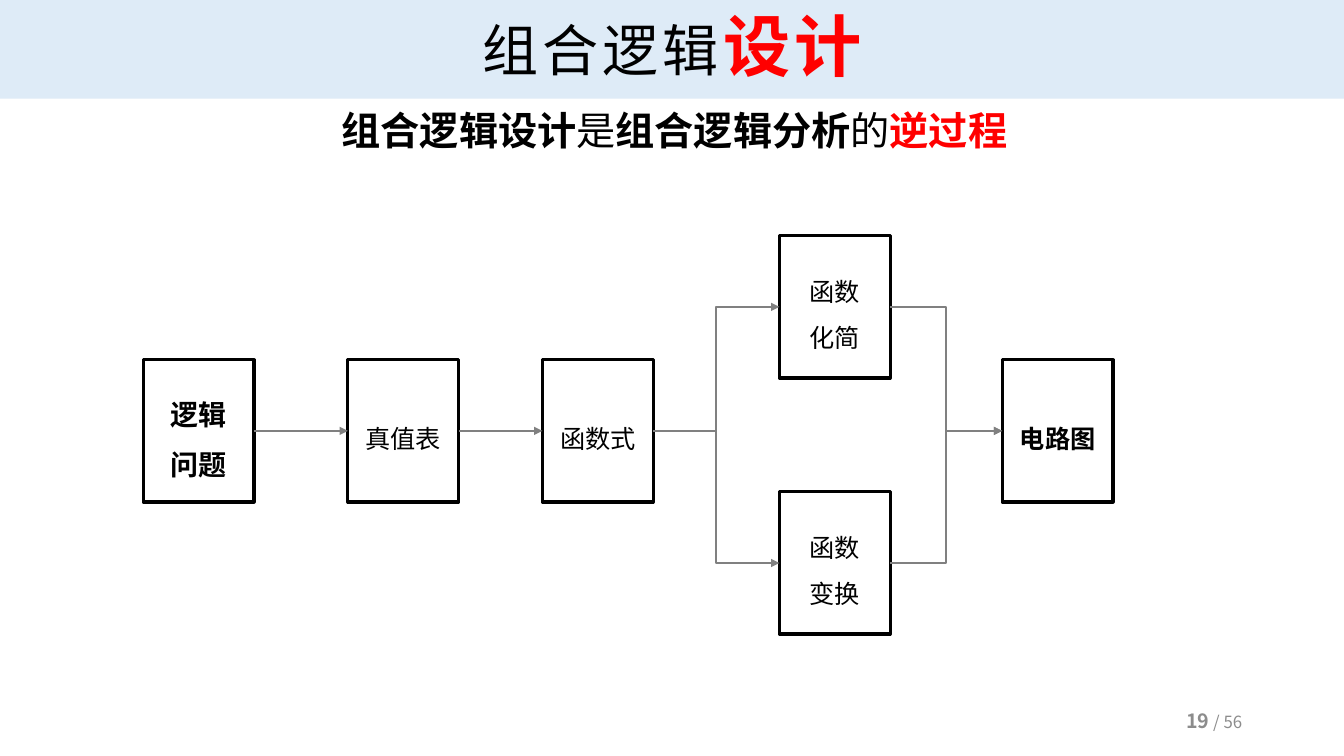
from dataclasses import dataclass

from lxml import etree
from pptx import Presentation
from pptx.dml.color import RGBColor
from pptx.enum.shapes import MSO_CONNECTOR, MSO_SHAPE
from pptx.enum.text import MSO_ANCHOR, MSO_AUTO_SIZE, PP_ALIGN
from pptx.oxml.ns import qn
from pptx.util import Inches, Pt

RECT = MSO_SHAPE.RECTANGLE
ELBOW, STRAIGHT = MSO_CONNECTOR.ELBOW, MSO_CONNECTOR.STRAIGHT
MIDDLE, TOP = MSO_ANCHOR.MIDDLE, MSO_ANCHOR.TOP
LEFT, CENTER, RIGHT = PP_ALIGN.LEFT, PP_ALIGN.CENTER, PP_ALIGN.RIGHT
LEFT_SITE, RIGHT_SITE = 1, 3


@dataclass(frozen=True)
class Theme:
    font: str = "Noto Sans CJK SC"
    ink: str = "000000"
    paper: str = "FFFFFF"
    band: str = "DEEBF7"
    accent: str = "FF0000"
    wire: str = "808080"
    faint: str = "8C8C8C"
    title: int = 40
    stress: int = 48
    lead: int = 28
    start: int = 20
    step: int = 18
    page: int = 14
    total: int = 12


T = Theme()

# Runs: text, size, colour, bold
TITLE = [("组合逻辑", T.title, T.ink, False), ("设计", T.stress, T.accent, True)]
LEAD = [
    ("组合逻辑设计", T.lead, T.ink, True),
    ("是", T.lead, T.ink, False),
    ("组合逻辑分析", T.lead, T.ink, True),
    ("的", T.lead, T.ink, False),
    ("逆过程", T.lead, T.accent, True),
]
PAGE = [("19", T.page, T.faint, True), (" / 56", T.total, T.faint, False)]

# Steps: column, row, lines, size, bold
STEPS = {
    "problem": (0, 1, ["逻辑", "问题"], T.start, True),
    "table": (1, 1, ["真值表"], T.step, False),
    "formula": (2, 1, ["函数式"], T.step, False),
    "convert": (3, 2, ["函数", "变换"], T.step, False),
    "reduce": (3, 0, ["函数", "化简"], T.step, False),
    "circuit": (4, 1, ["电路图"], T.step, True),
}
LINKS = [
    ("formula", "reduce"),
    ("formula", "convert"),
    ("reduce", "circuit"),
    ("convert", "circuit"),
    ("table", "formula"),
    ("problem", "table"),
]

# Grid, in inches
WIDE, HIGH = 13.33, 7.5
COLS = [1.42, 3.45, 5.38, 7.73, 9.94]
ROWS = [2.34, 3.57, 4.88]
BOX = (1.1, 1.41)
BAND = (0, 0, WIDE, 0.98)
LEAD_AT = (3.29, 1.01, 6.9, 0.57)
PAGE_AT = (9.42, 6.95, 3, 0.4)


def rgb(code):
    return RGBColor.from_string(code)


def place(shape, spot):
    shape.left, shape.top, shape.width, shape.height = map(Inches, spot)


def write(shape, lines, align, anchor, space=None, wrap=True, gap=None):
    """Fill a shape with lines of runs; gap is letter spacing in points."""
    frame = shape.text_frame
    frame.word_wrap = wrap
    frame.auto_size = MSO_AUTO_SIZE.NONE if wrap else MSO_AUTO_SIZE.SHAPE_TO_FIT_TEXT
    frame.vertical_anchor = anchor
    for i, runs in enumerate(lines):
        para = frame.add_paragraph() if i else frame.paragraphs[0]
        para.alignment = align
        if space:
            para.line_spacing = space
        for text, size, color, bold in runs:
            run = para.add_run()
            run.text = text
            font = run.font
            font.name, font.size, font.bold = T.font, Pt(size), bold
            font.color.rgb = rgb(color)
            props = run._r.get_or_add_rPr()
            etree.SubElement(props, qn("a:ea")).set("typeface", T.font)
            if gap:
                props.set("spc", str(gap * 100))


def add_step(slide, col, row, lines, size, bold):
    box = slide.shapes.add_shape(RECT, *map(Inches, (COLS[col], ROWS[row], *BOX)))
    box.shadow.inherit = False
    box.fill.solid()
    box.fill.fore_color.rgb = rgb(T.paper)
    box.line.color.rgb = rgb(T.ink)
    box.line.width = Pt(2.25)
    write(box, [[(line, size, T.ink, bold)] for line in lines], CENTER, MIDDLE, 1.5)
    return box


def add_link(slide, start, end):
    kind = STRAIGHT if start.top == end.top else ELBOW
    link = slide.shapes.add_connector(kind, 0, 0, 0, 0)
    link.begin_connect(start, RIGHT_SITE)
    link.end_connect(end, LEFT_SITE)
    link.line.color.rgb = rgb(T.wire)
    link.line.width = Pt(1.5)
    etree.SubElement(link.line._get_or_add_ln(), qn("a:tailEnd")).set("type", "triangle")
    etree.SubElement(link._element.spPr, qn("a:effectLst"))


def main():
    deck = Presentation()
    deck.slide_width, deck.slide_height = Inches(WIDE), Inches(HIGH)
    slide = deck.slides.add_slide(deck.slide_layouts.get_by_name("Title Only"))

    title = slide.shapes.title
    place(title, BAND)
    title.fill.solid()
    title.fill.fore_color.rgb = rgb(T.band)
    write(title, [TITLE], CENTER, MIDDLE, 0.9, gap=3)

    lead = slide.shapes.add_textbox(*map(Inches, LEAD_AT))
    write(lead, [LEAD], LEFT, TOP, wrap=False)

    boxes = {name: add_step(slide, *step) for name, step in STEPS.items()}
    for start, end in LINKS:
        add_link(slide, boxes[start], boxes[end])

    page = slide.shapes.add_textbox(*map(Inches, PAGE_AT))
    write(page, [PAGE], RIGHT, MIDDLE)
    deck.save("out.pptx")


if __name__ == "__main__":
    main()
